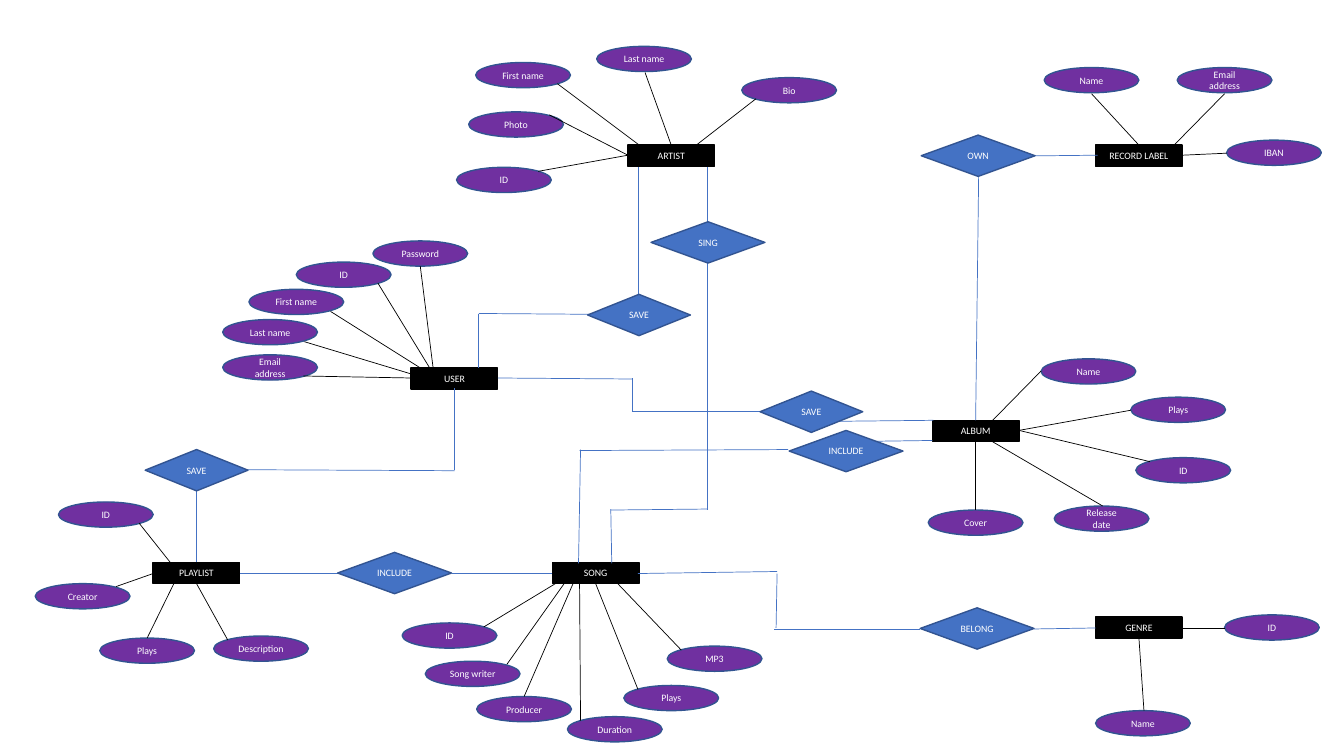
from pptx import Presentation
from pptx import util as u
from pptx.dml import color
from pptx.enum import shapes, text
from pptx.oxml import xmlchemy

GRID = 2.54  # centimetres per diagram unit
THEME = {
    "font": {"name": "Calibri", "size": u.Pt(7)},
    "text": "FFFFFF",
    "outline": u.Pt(1),
    "link": u.Pt(0.5),
    "attribute_link": "000000",
    "relation_link": "4472C4",
}
# Each kind: preset, fill, outline colour, height
KINDS = {
    "attribute": (shapes.MSO_SHAPE.OVAL, "7030A0", "325491", 0.25),
    "entity": (shapes.MSO_SHAPE.RECTANGLE, "000000", "000000", 0.21),
    "relation": (shapes.MSO_SHAPE.FLOWCHART_DECISION, "4472C4", "325491", 0.41),
}
FRAME = {"word_wrap": True, "vertical_anchor": text.MSO_ANCHOR.MIDDLE}

# Entity: left, top, then attributes as label, left, top, link start, link end
ENTITIES = {
    "USER": (4.08, 3.65, [
        ("First name", 2.47, 2.87, (3.28, 3.09), (4.17, 3.65)),
        ("Last name", 2.21, 3.17, (3.02, 3.39), (4.08, 3.71)),
        ("ID", 2.94, 2.6, (3.75, 2.81), (4.3, 3.71)),
        ("Email address", 2.21, 3.52, (3.01, 3.73), (4.08, 3.75)),
        ("Password", 3.7, 2.39, (4.17, 2.64), (4.3, 3.67)),
    ]),
    "ALBUM": (9.25, 4.17, [
        ("Release date", 10.46, 5.02, (10.94, 5.02), (9.81, 4.36)),
        ("Cover", 9.21, 5.06, (9.68, 5.06), (9.68, 4.38)),
        ("ID", 11.27, 4.54, (11.41, 4.58), (10.11, 4.27)),
        ("Name", 10.33, 3.56, (10.33, 3.68), (9.79, 4.23)),
        ("Plays", 11.22, 3.94, (11.22, 4.07), (10.11, 4.27)),
    ]),
    "PLAYLIST": (1.52, 5.58, [
        ("Description", 2.12, 6.31, (2.26, 6.35), (1.95, 5.79)),
        ("Plays", 0.99, 6.33, (1.46, 6.33), (1.74, 5.76)),
        ("Creator", 0.35, 5.79, (1.15, 5.82), (1.52, 5.69)),
        ("ID", 0.58, 4.98, (1.38, 5.19), (1.69, 5.58)),
    ]),
    "GENRE": (10.87, 6.12, [
        ("ID", 12.15, 6.1, (12.15, 6.23), (11.73, 6.23)),
        ("Name", 10.87, 7.05, (11.35, 7.05), (11.3, 6.33)),
    ]),
    "ARTIST": (6.23, 1.44, [
        ("ID", 4.53, 1.66, (5.34, 1.7), (6.23, 1.54)),
        ("Photo", 4.65, 1.11, (5.45, 1.14), (6.23, 1.54)),
        ("Bio", 7.36, 0.77, (7.5, 0.98), (6.87, 1.47)),
        ("First name", 4.72, 0.62, (5.53, 0.83), (6.37, 1.46)),
        ("Last name", 5.92, 0.46, (6.4, 0.72), (6.66, 1.44)),
    ]),
    "RECORD LABEL": (10.87, 1.44, [
        ("IBAN", 12.17, 1.39, (12.17, 1.52), (11.73, 1.54)),
        ("Email address", 11.68, 0.67, (12.15, 0.93), (11.57, 1.52)),
        ("Name", 10.36, 0.67, (10.83, 0.93), (11.3, 1.44)),
    ]),
    "SONG": (5.48, 5.58, [
        ("Duration", 5.63, 7.11, (5.76, 7.15), (5.75, 5.75)),
        ("Song writer", 4.22, 6.56, (5.03, 6.59), (5.64, 5.73)),
        ("ID", 3.99, 6.18, (4.8, 6.22), (5.61, 5.73)),
        ("Producer", 4.73, 6.91, (5.2, 6.91), (5.69, 5.78)),
        ("Plays", 6.19, 6.8, (6.33, 6.84), (5.91, 5.79)),
        ("MP3", 6.62, 6.41, (6.76, 6.45), (6.1, 5.76)),
    ]),
}

# Relation: label, left, top, width, then its links
RELATIONS = [
    ("SING", 6.46, 2.2, 1.13, [
        ((7.02, 1.66), (7.02, 2.2)), ((7.02, 2.61), (7.02, 5.06)),
        ((6.06, 5.06), (7.02, 5.05)), ((6.06, 5.05), (6.07, 5.59))]),
    ("SAVE", 5.83, 2.92, 1.02, [
        ((6.33, 1.66), (6.33, 2.92)), ((4.75, 3.11), (6.09, 3.12)),
        ((4.75, 3.12), (4.75, 3.65))]),
    ("SAVE", 1.44, 4.46, 1.02, [
        ((4.51, 3.85), (4.51, 4.66)), ((2.44, 4.66), (4.51, 4.67)),
        ((1.95, 4.87), (1.95, 5.58))]),
    ("SAVE", 7.54, 3.88, 1.02, [
        ((4.94, 3.75), (6.27, 3.76)), ((6.27, 3.75), (6.27, 4.08)),
        ((6.27, 4.08), (7.6, 4.08)), ((8.27, 4.18), (9.26, 4.17))]),
    ("INCLUDE", 7.83, 4.27, 1.13, [
        ((8.5, 4.38), (9.25, 4.37)), ((5.75, 4.47), (7.82, 4.46)),
        ((5.76, 4.46), (5.74, 5.59))]),
    ("INCLUDE", 3.35, 5.48, 1.13, [
        ((2.38, 5.69), (3.35, 5.69)), ((4.48, 5.69), (5.48, 5.69))]),
    ("OWN", 9.14, 1.34, 1.13, [
        ((9.9, 1.55), (10.89, 1.54)), ((9.71, 1.74), (9.68, 4.17))]),
    ("BELONG", 9.13, 6.03, 1.13, [
        ((6.33, 5.69), (7.71, 5.67)), ((7.71, 5.69), (7.7, 6.23)),
        ((7.68, 6.24), (9.13, 6.24)), ((10.87, 6.23), (10.26, 6.24))]),
]


def add_node(kind, label, left, top, width):
    """Draw one labelled attribute, entity or relation."""
    preset, fill, outline, height = KINDS[kind]
    box = slide.shapes.add_shape(
        preset, *(u.Cm(GRID * length) for length in (left, top, width, height)))
    box.shadow.inherit = False
    box.fill.solid()
    box.fill.fore_color.rgb = color.RGBColor.from_string(fill)
    box.line.color.rgb = color.RGBColor.from_string(outline)
    box.line.width = THEME["outline"]
    for name, value in FRAME.items():
        setattr(box.text_frame, name, value)
    para = box.text_frame.paragraphs[0]
    para.alignment = text.PP_ALIGN.CENTER
    span = para.add_run()
    span.text = label
    for name, value in THEME["font"].items():
        setattr(span.font, name, value)
    span.font.color.rgb = color.RGBColor.from_string(THEME["text"])


def add_link(start, end, shade):
    """Draw one thin straight line between two points."""
    link = slide.shapes.add_connector(
        shapes.MSO_CONNECTOR.STRAIGHT,
        *(u.Cm(GRID * length) for length in start + end))
    link.line.color.rgb = color.RGBColor.from_string(THEME[shade])
    link.line.width = THEME["link"]
    link._element.spPr.append(xmlchemy.OxmlElement("a:effectLst"))


deck = Presentation()
deck.slide_width, deck.slide_height = u.Cm(33.87), u.Cm(19.05)
slide = deck.slides.add_slide(deck.slide_layouts[6])

for entity, (left, top, attributes) in ENTITIES.items():
    for label, attribute_left, attribute_top, start, end in attributes:
        add_node("attribute", label, attribute_left, attribute_top, 0.94)
    for *_, start, end in attributes:
        add_link(start, end, "attribute_link")
    add_node("entity", entity, left, top, 0.86)

for *_, links in RELATIONS:
    for start, end in links:
        add_link(start, end, "relation_link")
for label, left, top, width, _ in RELATIONS:
    add_node("relation", label, left, top, width)

deck.save("out.pptx")
